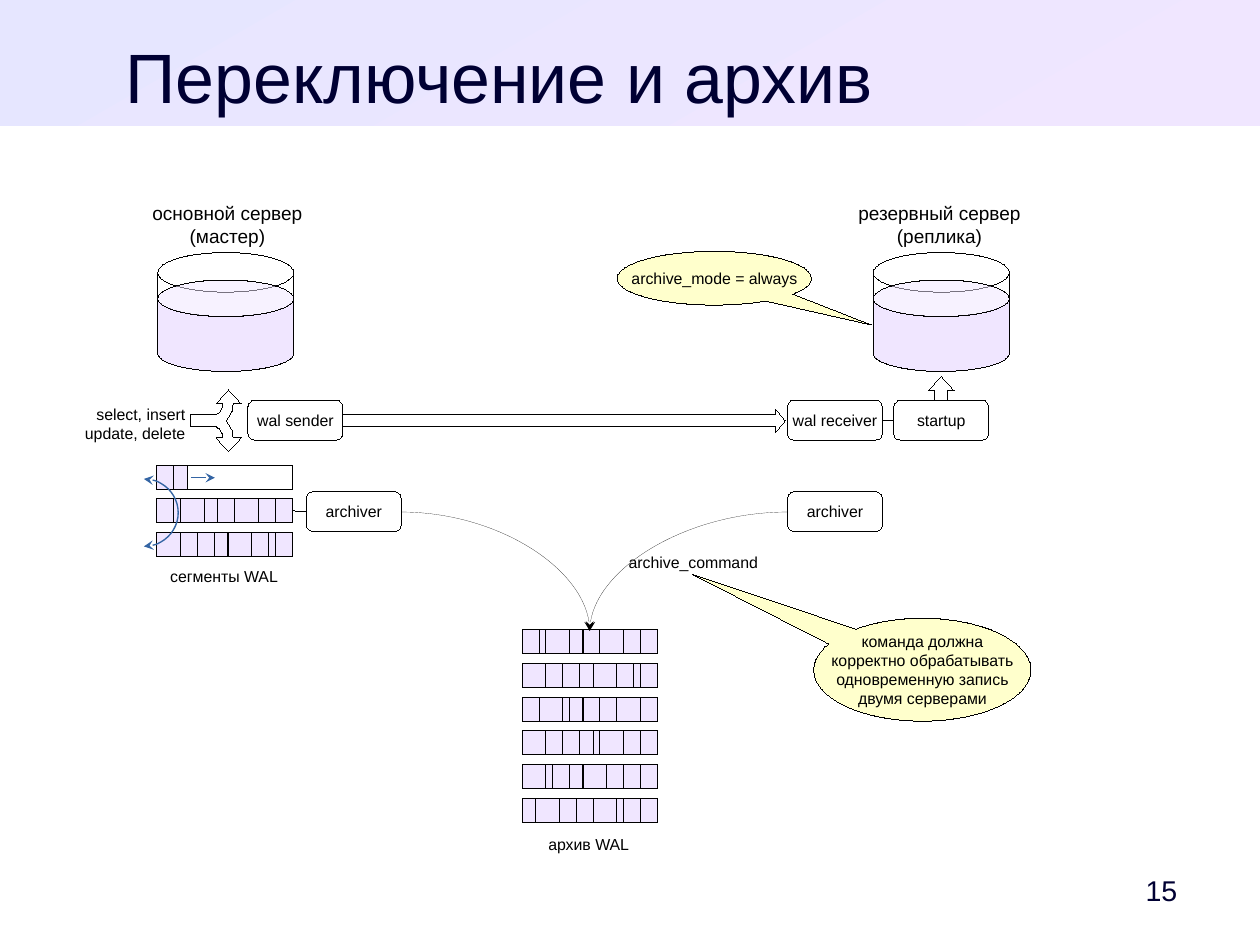
import math

import pptx
import pptx.dml.color
import pptx.enum.shapes
import pptx.enum.text
import pptx.oxml.ns
import pptx.util
from lxml import etree

Inches = pptx.util.Inches
qn = pptx.oxml.ns.qn
SHAPE = pptx.enum.shapes.MSO_SHAPE
CONNECTOR = pptx.enum.shapes.MSO_CONNECTOR
ALIGN = pptx.enum.text.PP_ALIGN

THEME = {
    "font": "Arial",
    "title_size": 44,
    "number_size": 18,
    "server_size": 12,
    "label_size": 10,
    "heading": "000033",
    "black": "000000",
    "white": "FFFFFF",
    "blue": "3465A4",
    "lilac": "F0E6FF",
    "sky": "E6E6FF",
    "note": "FFFFCC",
}


def write_text(shape, text, size="label_size", color="black", align=ALIGN.CENTER):
    frame = shape.text_frame
    frame.word_wrap = False
    frame.vertical_anchor = pptx.enum.text.MSO_ANCHOR.MIDDLE
    frame.margin_left = frame.margin_right = frame.margin_top = frame.margin_bottom = 0
    frame.text = text
    for paragraph in frame.paragraphs:
        paragraph.alignment = align
        paragraph.font.name = THEME["font"]
        paragraph.font.size = pptx.util.Pt(THEME[size])
        paragraph.font.color.rgb = pptx.dml.color.RGBColor.from_string(THEME[color])


def paint(shape, fill=None, line="black", width=0):
    shape.shadow.inherit = False
    if fill:
        shape.fill.solid()
        shape.fill.fore_color.rgb = pptx.dml.color.RGBColor.from_string(THEME[fill])
    else:
        shape.fill.background()
    shape.line.color.rgb = pptx.dml.color.RGBColor.from_string(THEME[line])
    shape.element.spPr.find(qn("a:ln")).set("w", str(int(pptx.util.Pt(width))))
    return shape


presentation = pptx.Presentation()
presentation.slide_width = Inches(28 / 2.54)
presentation.slide_height = Inches(21 / 2.54)
slide = presentation.slides.add_slide(presentation.slide_layouts[6])
shapes = slide.shapes

header = shapes.add_shape(
    SHAPE.RECTANGLE, 0, 0, presentation.slide_width, Inches(1.1))
header.shadow.inherit = False
header.line.fill.background()
header.fill.gradient()
header.fill.gradient_angle = 300
for stop, color in zip(header.fill.gradient_stops, ("sky", "lilac")):
    stop.color.rgb = pptx.dml.color.RGBColor.from_string(THEME[color])

quarter = [math.radians(angle) for angle in range(0, 91, 10)]
upper_fork = [(1.67, 3.63)]
upper_fork += [(1.86 + 0.09 * math.sin(t), 3.53 + 0.1 * math.cos(t)) for t in quarter]
upper_fork += [(1.89, 3.53), (2, 3.41), (2.11, 3.53), (2.04, 3.53), (2.03, 3.6), (1.98, 3.68)]
outlines = [(upper_fork + [(x, 2 * 3.68 - y) for x, y in reversed(upper_fork)], "white")]

half = [math.radians(angle) for angle in range(0, 181, 6)]
for left in (1.38, 7.64):
    disk = shapes.add_shape(
        SHAPE.FLOWCHART_MAGNETIC_DISK, Inches(left), Inches(2.21), Inches(1.19), Inches(1.04))
    paint(disk, "white")
    edges = [
        [(left + 0.595 * (1 + math.cos(t)), y + 0.16 * math.sin(t)) for t in half]
        for y in (2.61, 3.09)
    ]
    outlines.append((edges[0] + edges[1][::-1], "lilac"))

for points, color in outlines:
    vertices = [(Inches(x), Inches(y)) for x, y in points]
    builder = shapes.build_freeform(*vertices[0])
    builder.add_line_segments(vertices[1:], close=True)
    paint(builder.convert_to_shape(), color)

for left in (1.38, 7.64):
    surface = paint(shapes.add_shape(
        SHAPE.OVAL, Inches(left), Inches(2.45), Inches(1.19), Inches(0.32)), "lilac")
    fill_color = surface.element.spPr.find(".//" + qn("a:srgbClr"))
    etree.SubElement(fill_color, qn("a:alpha"), val="50000")

ROW_UNITS = 40
ROW_PITCH = 0.295
segment_stacks = [
    (1.37, 4.07, 1.19, ["54", "52745755", "75547525"]),
    (4.57, 5.51, 1.18,
     ["52745755", "75547525", "57245575", "75542755", "72547555", "47557255"]),
]
row_outlines = []
for left, top, row_width, rows in segment_stacks:
    for index, row in enumerate(rows):
        x, y = left, top + index * ROW_PITCH
        for units in map(int, row):
            width = units * row_width / ROW_UNITS
            paint(shapes.add_shape(
                SHAPE.RECTANGLE, Inches(x), Inches(y), Inches(width), Inches(0.21)), "lilac")
            x += width
        row_outlines.append(paint(shapes.add_shape(
            SHAPE.RECTANGLE, Inches(left), Inches(y), Inches(row_width), Inches(0.21))))

for kind, box, adjustments in [
    (SHAPE.RIGHT_ARROW, (2.99, 3.58, 3.88, 0.2), (0.51, 0.41)),
    (SHAPE.UP_ARROW, (8.12, 3.29, 0.23, 0.27), (0.51, 0.56)),
]:
    arrow = paint(shapes.add_shape(kind, *map(Inches, box)), "white")
    for index, value in enumerate(adjustments):
        arrow.adjustments[index] = value

processes = []
for left, top, name in [
    (2.17, 3.5, "wal sender"),
    (6.89, 3.5, "wal receiver"),
    (7.82, 3.5, "startup"),
    (2.68, 4.3, "archiver"),
    (6.89, 4.3, "archiver"),
]:
    process = shapes.add_shape(
        SHAPE.ROUNDED_RECTANGLE, Inches(left), Inches(top), Inches(0.83), Inches(0.35))
    write_text(paint(process, "white"), name)
    processes.append(process)
sender, receiver, startup, master_archiver, replica_archiver = processes

for box, pointer, text in [
    ((5.4, 2.2, 1.7, 0.47), (0.81, 0.87), "archive_mode = always"),
    ((7.12, 5.41, 1.9, 0.9), (-1.06, -0.93),
     "команда должна\nкорректно обрабатывать\nодновременную запись\nдвумя серверами"),
]:
    callout = paint(shapes.add_shape(SHAPE.OVAL_CALLOUT, *map(Inches, box)), "note")
    callout.adjustments[0], callout.adjustments[1] = pointer
    write_text(callout, text)

recycling = paint(shapes.add_shape(
    SHAPE.ARC, Inches(0.96), Inches(4.19), Inches(0.6), Inches(0.59)), line="blue", width=0.85)
recycling.adjustments[0], recycling.adjustments[1] = 162, 54
for end in ("a:headEnd", "a:tailEnd"):
    etree.SubElement(recycling.element.spPr.find(qn("a:ln")), qn(end), type="stealth")

for kind, ends, color, width, joined in [
    (CONNECTOR.STRAIGHT, (1.67, 4.18, 1.88, 4.18), "blue", 0.85, None),
    (CONNECTOR.CURVE, (3.51, 4.48, 5.16, 5.52), "black", 0, None),
    (CONNECTOR.CURVE, (6.89, 4.48, 5.16, 5.52), "black", 0, None),
    (CONNECTOR.STRAIGHT, (2.56, 4.48, 2.68, 4.48), "black", 0, (row_outlines[1], master_archiver)),
    (CONNECTOR.STRAIGHT, (7.72, 3.68, 7.82, 3.68), "black", 0, (receiver, startup)),
]:
    connector = shapes.add_connector(kind, *map(Inches, ends))
    connector.line.color.rgb = pptx.dml.color.RGBColor.from_string(THEME[color])
    properties = connector.element.spPr
    outline = properties.find(qn("a:ln"))
    outline.set("w", str(int(pptx.util.Pt(width))))
    if kind == CONNECTOR.CURVE:
        properties.find(qn("a:prstGeom")).set("prst", "curvedConnector2")
    if joined:
        connector.begin_connect(joined[0], 3)
        connector.end_connect(joined[1], 1)
    else:
        etree.SubElement(outline, qn("a:tailEnd"), type="stealth")
    etree.SubElement(properties, qn("a:effectLst"))

for box, text, style in [
    ((0.47, 0.32, 7.8, 0.69), "Переключение и архив", {"size": "title_size", "color": "heading"}),
    ((9.69, 7.55, 0.61, 0.47), "15",
     {"size": "number_size", "color": "heading", "align": ALIGN.RIGHT}),
    ((1.23, 1.72, 1.52, 0.48), "основной сервер\n(мастер)", {"size": "server_size"}),
    ((7.41, 1.72, 1.62, 0.48), "резервный сервер\n(реплика)", {"size": "server_size"}),
    ((0.6, 3.5, 1.02, 0.41), "select, insert\nupdate, delete", {"align": ALIGN.RIGHT}),
    ((1.39, 4.91, 1.14, 0.26), "сегменты WAL", {}),
    ((4.7, 7.26, 0.9, 0.26), "архив WAL", {}),
    ((5.4, 4.79, 1.33, 0.26), "archive_command", {}),
]:
    write_text(shapes.add_textbox(*map(Inches, box)), text, **style)

presentation.save("out.pptx")
